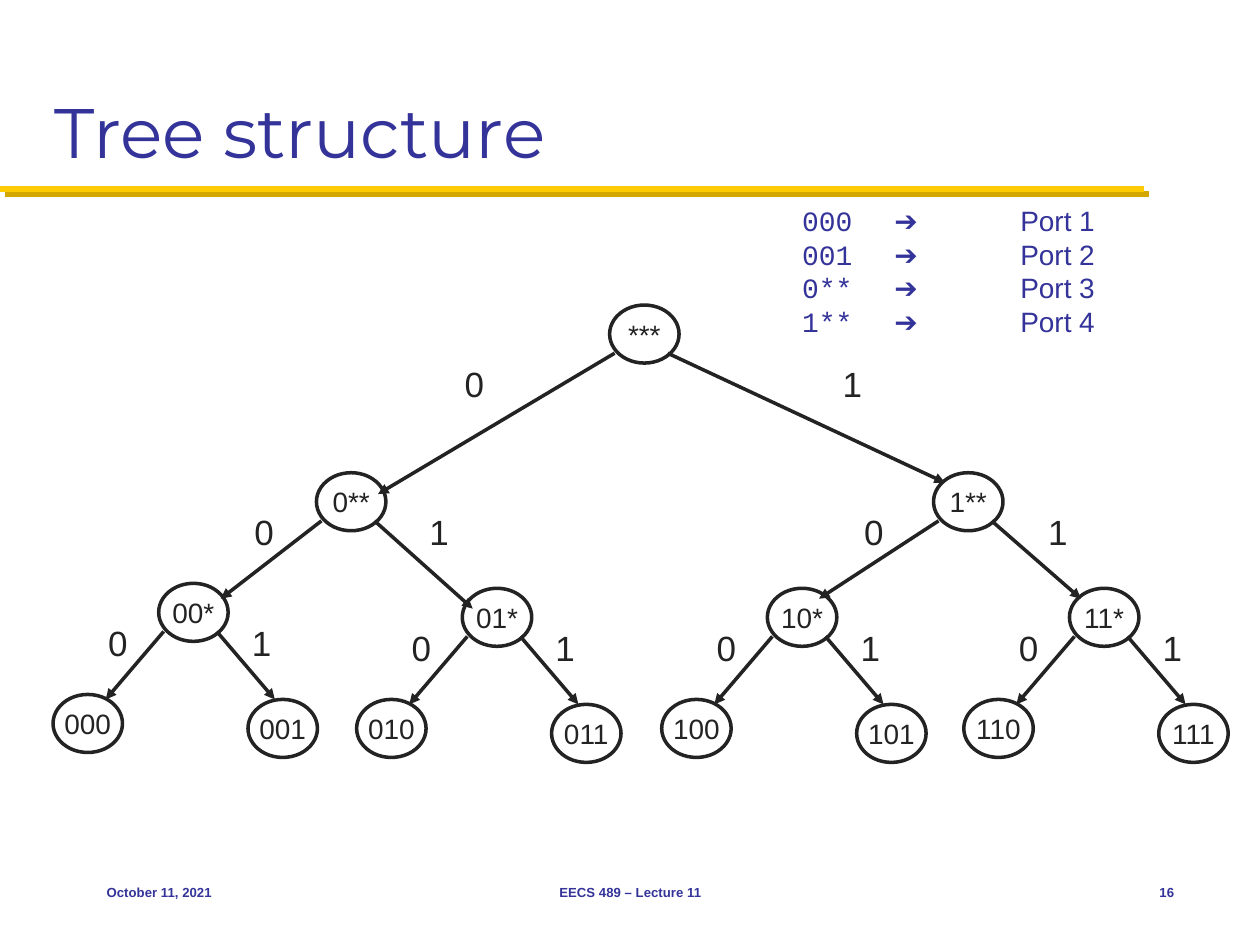
from lxml import etree
from pptx import Presentation
from pptx import util as u
from pptx.dml import color
from pptx.enum import shapes, text
from pptx.oxml import ns

NAVY, INK, WHITE, GOLD, DARK_GOLD = "333399", "232323", "FFFFFF", "FFCB05", "D3A600"
NODE_W, NODE_H = 1.4, 1.17
LEFT, CENTER, RIGHT = text.PP_ALIGN.LEFT, text.PP_ALIGN.CENTER, text.PP_ALIGN.RIGHT
TOP, MIDDLE, BOTTOM = (
    text.MSO_ANCHOR.TOP, text.MSO_ANCHOR.MIDDLE, text.MSO_ANCHOR.BOTTOM)


def rgb(value):
    """Turn a hex string into a colour."""
    return color.RGBColor.from_string(value)


def add_run(p, words, size=16, font="Arial", fill=INK, bold=False):
    """Add one formatted run to a paragraph."""
    r = p.add_run()
    r.text = words
    r.font.size, r.font.name, r.font.bold = u.Pt(size), font, bold
    r.font.color.rgb = rgb(fill)


def add_text(s, box, words, align=LEFT, anchor=TOP, **style):
    """Add a one-paragraph text box."""
    tf = s.shapes.add_textbox(*map(u.Cm, box)).text_frame
    tf.word_wrap, tf.vertical_anchor = True, anchor
    tf.paragraphs[0].alignment = align
    add_run(tf.paragraphs[0], words, **style)
    return tf


def add_line(s, start, end, fill, width):
    """Add a straight connector and return it with its empty effect list."""
    sp = s.shapes.add_connector(
        shapes.MSO_CONNECTOR.STRAIGHT, *map(u.Cm, (*start, *end)))
    sp.line.color.rgb, sp.line.width = rgb(fill), u.Pt(width)
    effects = etree.SubElement(sp._element.spPr, ns.qn("a:effectLst"))
    return sp, effects


def add_header(s, x, y, w, h):
    """Place the title and the shadowed rule under it."""
    _, effects = add_line(s, (0, y + h + 0.2), (23.06, y + h + 0.2), GOLD, 3.5)
    shadow = etree.SubElement(
        effects, ns.qn("a:outerShdw"), dist=str(u.Pt(4.2)), dir="2700000", algn="ctr")
    etree.SubElement(shadow, ns.qn("a:srgbClr"), val=DARK_GOLD)
    add_text(s, (x, y, w, h), "Tree structure", anchor=BOTTOM,
             size=40, font="Montserrat", fill=NAVY)


def add_node(s, x, y, prefix):
    """Place one oval tree node."""
    sp = s.shapes.add_shape(
        shapes.MSO_SHAPE.OVAL, *map(u.Cm, (x, y, NODE_W, NODE_H)))
    sp.shadow.inherit = False
    sp.fill.solid()
    sp.fill.fore_color.rgb = rgb(WHITE)
    sp.line.color.rgb, sp.line.width = rgb(INK), u.Pt(2)
    tf = sp.text_frame
    tf.word_wrap, tf.vertical_anchor = False, MIDDLE
    tf.paragraphs[0].alignment = CENTER
    add_run(tf.paragraphs[0], prefix)


def add_branches(s, x, y, prefix, tips, labels):
    """Place a node with its 0 and 1 arrows and their labels."""
    add_node(s, x, y, prefix)
    for bit, start_x, tip, label in zip("01", (0.1, 1.17), tips, labels):
        sp, _ = add_line(
            s, (x + start_x, y + 0.97), (x + tip[0], y + tip[1]), INK, 2)
        etree.SubElement(sp.line._get_or_add_ln(), ns.qn("a:tailEnd"), type="triangle")
        add_text(s, (x + label[0], y + label[1], 1.35, 1.09), bit, CENTER, size=20)


def add_subtree(s, x, y, prefix):
    """Place a lowest-level parent with its two leaves."""
    for bit, dx, dy in (("0", -2.13, 2.24), ("1", 1.8, 2.34)):
        add_node(s, x + dx, y + dy, prefix + bit)
    add_branches(s, x, y, prefix + "*", ((-1.07, 2.34), (2.34, 2.34)),
                 ((-1.5, 0.64), (1.4, 0.64)))


def add_tree(s, x, y):
    """Place the whole prefix tree, lowest level first."""
    for dx, dy, prefix in ((2.13, 5.61, "00"), (8.25, 5.71, "01"),
                           (14.4, 5.71, "10"), (20.49, 5.71, "11")):
        add_subtree(s, x + dx, y + dy, prefix)
    add_branches(s, x + 5.31, y + 3.38, "0**", ((-1.93, 2.54), (3.15, 2.74)),
                 ((-1.73, 0.63), (1.8, 0.63)))
    add_branches(s, x + 17.75, y + 3.38, "1**", ((-2.31, 2.54), (2.97, 2.54)),
                 ((-1.88, 0.63), (1.83, 0.63)))
    add_branches(s, x + 11.22, y, "***", ((-4.67, 3.81), (6.76, 3.58)),
                 ((-3.4, 1.03), (4.22, 1.04)))


def add_ports(s, x, y, w, h):
    """Place the list of prefixes and their ports."""
    tf = s.shapes.add_textbox(*map(u.Cm, (x, y, w, h))).text_frame
    tf.word_wrap = True
    for i, prefix in enumerate(("000", "001", "0**", "1**")):
        p = tf.add_paragraph() if i else tf.paragraphs[0]
        tabs = etree.SubElement(p._p.get_or_add_pPr(), ns.qn("a:tabLst"))
        for stop in (1.86, 4.4):
            etree.SubElement(tabs, ns.qn("a:tab"), pos=str(u.Cm(stop)), algn="l")
        add_run(p, f"{prefix}\t", font="Courier New", fill=NAVY)
        add_run(p, f"➔\tPort {i + 1}", fill=NAVY)


def add_footer(s, x, y, h):
    """Place the date, the lecture name and the slide number."""
    for dx, w, words, align in ((0, 5.28, "October 11, 2021", LEFT),
                                (6.78, 8.05, "EECS 489 – Lecture 11", CENTER),
                                (20.32, 1.7, "16", RIGHT)):
        add_text(s, (x + dx, y, w, h), words, align, MIDDLE,
                 size=7.5, fill=NAVY, bold=True)


def main():
    """Build and save the slide."""
    prs = Presentation()
    prs.slide_width, prs.slide_height = u.Cm(25.4), u.Cm(19.05)
    s = prs.slides.add_slide(prs.slide_layouts[6])
    add_header(s, 0.84, 0.43, 23.7, 3.18)
    add_tree(s, 1.07, 6.15)
    add_ports(s, 15.92, 3.98, 8.4, 3)
    add_footer(s, 1.9, 17.35, 1.27)
    prs.save("out.pptx")


if __name__ == "__main__":
    main()
